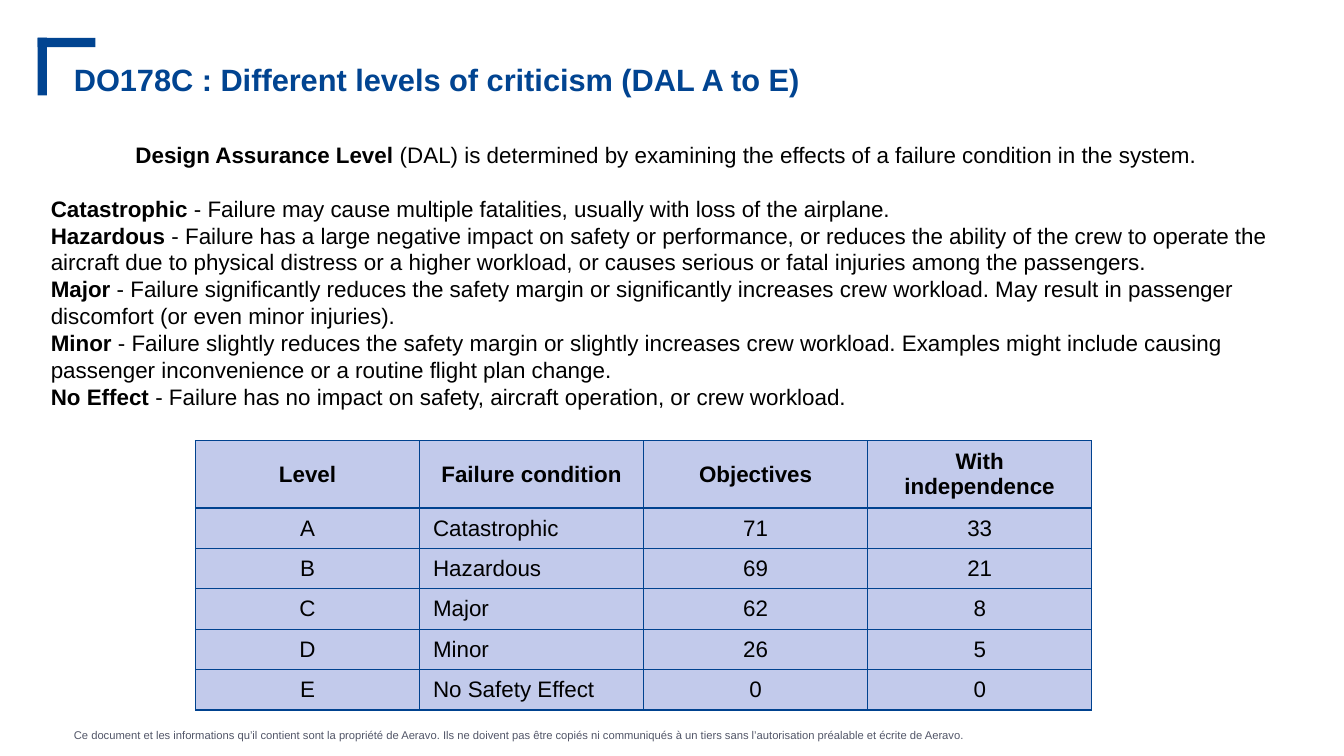
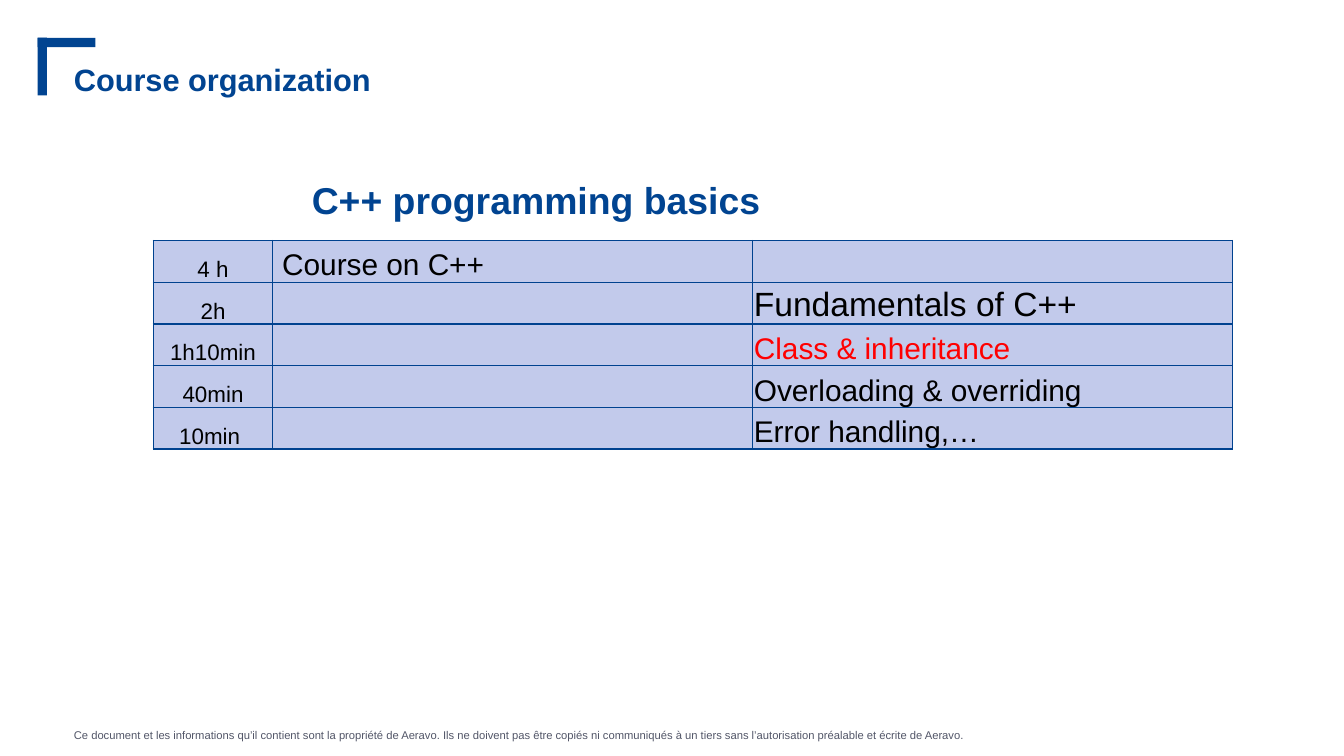
from lxml import etree
from pptx import Presentation
from pptx.dml.color import RGBColor
from pptx.enum.shapes import MSO_SHAPE
from pptx.enum.text import MSO_ANCHOR, PP_ALIGN
from pptx.oxml.ns import qn
from pptx.util import Inches, Pt

LEFT, CENTER = PP_ALIGN.LEFT, PP_ALIGN.CENTER
MIDDLE, BOTTOM = MSO_ANCHOR.MIDDLE, MSO_ANCHOR.BOTTOM
RECTANGLE = MSO_SHAPE.RECTANGLE

THEME = {
    "font": "Arial",
    "blue": "014491",
    "border": "00428F",
    "cell": "C2CAEB",
    "black": "000000",
    "red": "FF0000",
    "grey": "525668",
    "border_width": Pt(0.75),
    "footer": 6,
    "body": 12,
    "topic": 16,
    "title": 16.5,
    "major_topic": 18,
    "heading": 20,
}
BODY = {"size": THEME["body"], "color": THEME["black"]}
BOLD = {**BODY, "bold": True}
TITLE = {"size": THEME["title"], "color": THEME["blue"], "bold": True}
HEADING = {**TITLE, "size": THEME["heading"]}
FOOTER = {"size": THEME["footer"], "color": THEME["grey"]}
TOPIC = {**BODY, "size": THEME["topic"]}
MAJOR_TOPIC = {**BODY, "size": THEME["major_topic"]}
CURRENT_TOPIC = {**TOPIC, "color": THEME["red"]}

NO_INSET = dict.fromkeys(("margin_left", "margin_top", "margin_right", "margin_bottom"), 0)
TIGHT = {**dict.fromkeys(NO_INSET, Inches(0.01)), "margin_bottom": 0}

presentation = Presentation()
presentation.slide_width = Inches(10)
presentation.slide_height = Inches(5.625)
COLUMN = presentation.slide_width / 100
ROW = presentation.slide_height / 100


def write(text_frame, paragraphs, alignment=LEFT):
    for index, runs in enumerate(paragraphs):
        paragraph = text_frame.add_paragraph() if index else text_frame.paragraphs[0]
        paragraph.alignment = alignment
        for text, style in runs:
            run = paragraph.add_run()
            run.text = text
            run.font.name = THEME["font"]
            run.font.size = Pt(style["size"])
            run.font.bold = style.get("bold", False)
            run.font.color.rgb = RGBColor.from_string(style["color"])


def add_table(slide, left, top, widths, heights, rows, cell_format):
    table = slide.shapes.add_table(
        len(heights), len(widths), int(left * COLUMN), int(top * ROW),
        int(sum(widths) * COLUMN), int(sum(heights) * ROW),
    ).table
    for column, width in zip(table.columns, widths):
        column.width = int(width * COLUMN)
    for row, height, entries in zip(table.rows, heights, rows):
        row.height = int(height * ROW)
        for cell, (text, style, alignment) in zip(row.cells, entries):
            for name, value in cell_format.items():
                setattr(cell, name, value)
            write(cell.text_frame, [[(text, style)]], alignment)
            cell.fill.solid()
            cell.fill.fore_color.rgb = RGBColor.from_string(THEME["cell"])
            properties = cell._tc.get_or_add_tcPr()
            for index, side in enumerate(("a:lnL", "a:lnR", "a:lnT", "a:lnB")):
                line = etree.Element(qn(side), w=str(THEME["border_width"]))
                fill = etree.SubElement(line, qn("a:solidFill"))
                etree.SubElement(fill, qn("a:srgbClr"), val=THEME["border"])
                properties.insert(index, line)
    return table


FOOTER_TEXT = (
    "Ce document et les informations qu’il contient sont la propriété de Aeravo. "
    "Ils ne doivent pas être copiés ni communiqués à un tiers sans l’autorisation "
    "préalable et écrite de Aeravo."
)
EFFECTS = [
    ("Catastrophic", "Failure may cause multiple fatalities, usually with loss of the airplane."),
    ("Hazardous", "Failure has a large negative impact on safety or performance, or reduces "
     "the ability of the crew to operate the aircraft due to physical distress or a higher "
     "workload, or causes serious or fatal injuries among the passengers."),
    ("Major", "Failure significantly reduces the safety margin or significantly increases "
     "crew workload. May result in passenger discomfort (or even minor injuries)."),
    ("Minor", "Failure slightly reduces the safety margin or slightly increases crew workload. "
     "Examples might include causing passenger inconvenience or a routine flight plan change."),
    ("No Effect", "Failure has no impact on safety, aircraft operation, or crew workload."),
]
DEFINITION = [
    ("Design Assurance Level", BOLD),
    (" (DAL) is determined by examining the effects of a failure condition in the system.", BODY),
]
SLIDES = [
    ("DO178C : Different levels of criticism (DAL A to E)", [
        ((9.1, 17.78, 86.6, 5.33), [DEFINITION], {}),
        ((2.8, 24.89, 93.7, 30.58),
         [[(name, BOLD), (f" - {effect}", BODY)] for name, effect in EFFECTS], {}),
    ]),
    ("Course organization", [
        ((23.2, 23.47, 58.3, 11.2), [[("C++ programming basics", HEADING)]], NO_INSET),
    ]),
]

for title, texts in SLIDES:
    slide = presentation.slides.add_slide(presentation.slide_layouts[6])
    for width, height in ((0.7, 7.64), (4.3, 1.24)):
        bar = slide.shapes.add_shape(
            RECTANGLE, int(2.8 * COLUMN), int(5 * ROW), int(width * COLUMN), int(height * ROW)
        )
        bar.shadow.inherit = False
        bar.fill.solid()
        bar.fill.fore_color.rgb = RGBColor.from_string(THEME["blue"])
        bar.line.fill.background()
    shared_texts = [
        ((5.5, 96.36, 78.4, 3.56), [[(FOOTER_TEXT, FOOTER)]], NO_INSET),
        ((5.5, 8, 91.8, 14.04), [[(title, TITLE)]], NO_INSET),
    ]
    for (left, top, width, height), paragraphs, frame_format in shared_texts + texts:
        text_frame = slide.shapes.add_textbox(
            int(left * COLUMN), int(top * ROW), int(width * COLUMN), int(height * ROW)
        ).text_frame
        for name, value in {"word_wrap": True, **frame_format}.items():
            setattr(text_frame, name, value)
        write(text_frame, paragraphs)

levels_slide, course_slide = presentation.slides

LEVELS = [
    ("A", "Catastrophic", "71", "33"),
    ("B", "Hazardous", "69", "21"),
    ("C", "Major", "62", "8"),
    ("D", "Minor", "26", "5"),
    ("E", "No Safety Effect", "0", "0"),
]
headers = ("Level", "Failure condition", "Objectives", "With independence")
level_rows = [[(header, BOLD, CENTER) for header in headers]]
for level in LEVELS:
    level_rows.append([
        (text, BODY, LEFT if index == 1 else CENTER) for index, text in enumerate(level)
    ])
add_table(
    levels_slide, 14.55, 58.31, [16.67] * 4, [8.89] + [5.33] * 5, level_rows,
    {"vertical_anchor": MIDDLE},
)

COURSE = [
    ("4 h", "Course on C++", "", TOPIC),
    ("2h", "", "Fundamentals of C++", MAJOR_TOPIC),
    ("1h10min", "", "Class & inheritance", CURRENT_TOPIC),
    ("40min", "", "Overloading & overriding", TOPIC),
    ("10min", "", "Error handling,…", TOPIC),
]
course_rows = [
    [(duration, BODY, CENTER), (course, TOPIC, LEFT), (topic, style, LEFT)]
    for duration, course, topic, style in COURSE
]
course_table = add_table(
    course_slide, 11.4, 31.82, [8.9, 35.7, 35.7], [5.05] * 5, course_rows,
    {"vertical_anchor": BOTTOM, **TIGHT},
)
course_table.cell(0, 1).margin_left = Inches(0.07)
course_table.cell(4, 0).margin_right = Inches(0.06)

presentation.save("out.pptx")
